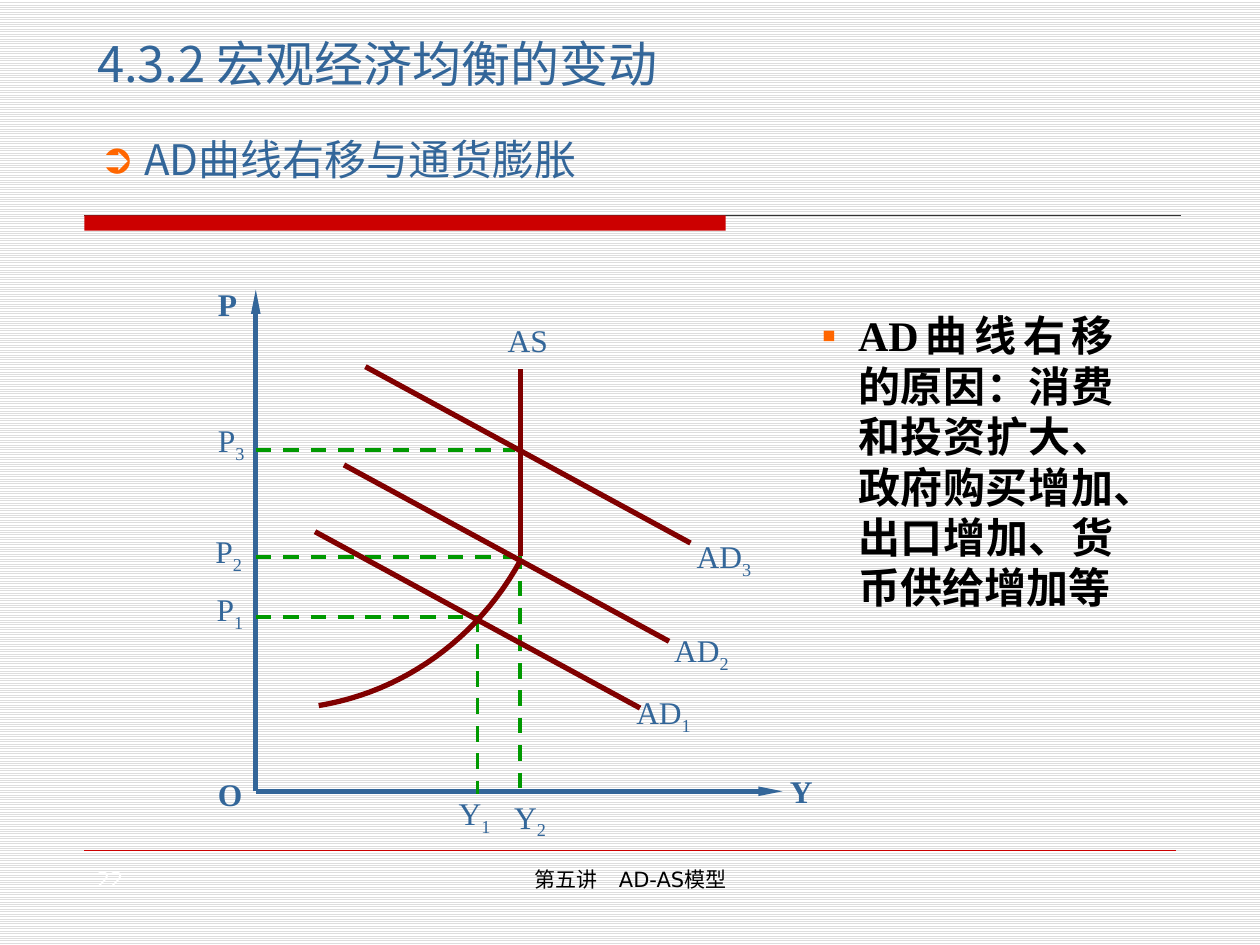
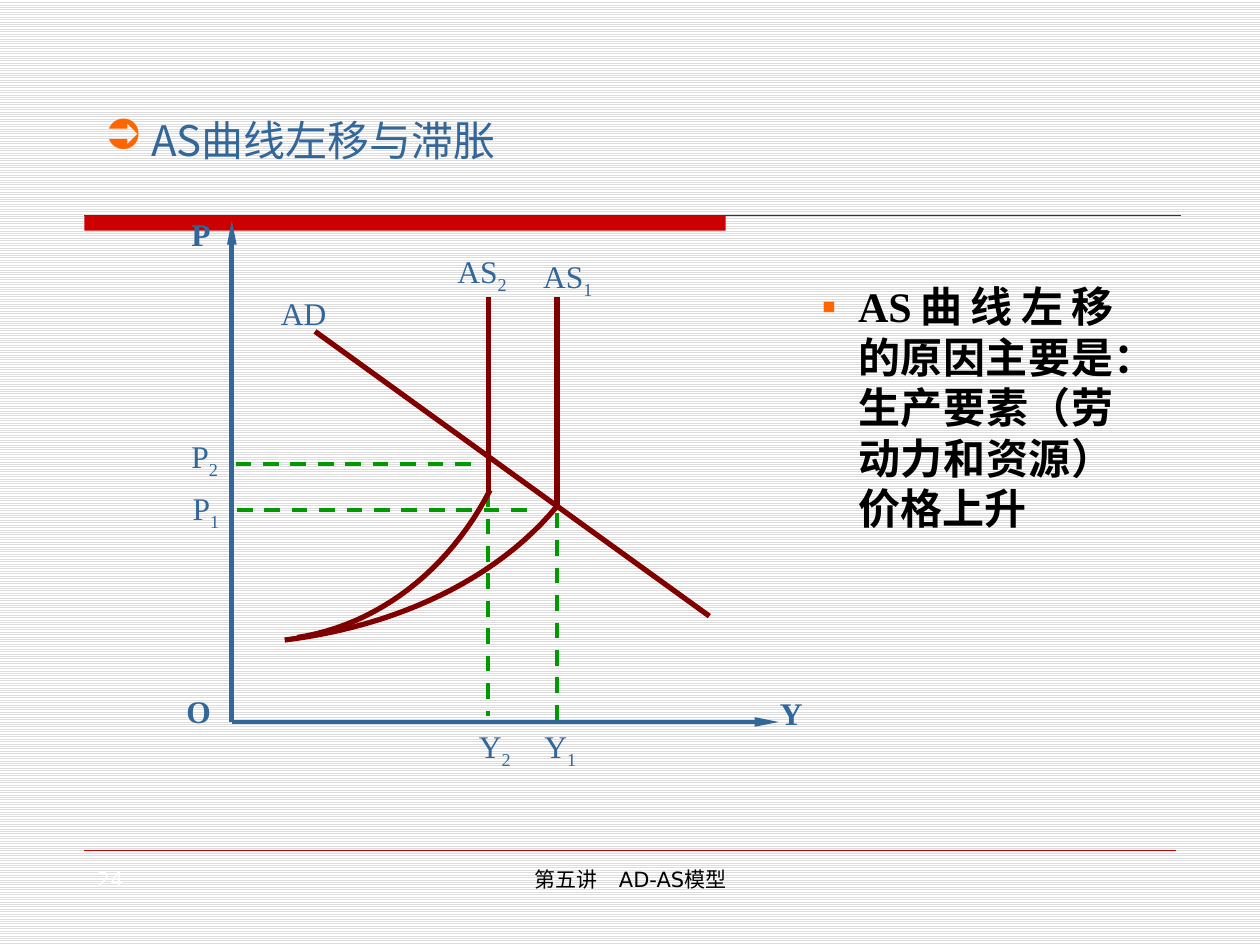
from lxml.etree import SubElement
from pptx import Presentation
from pptx.dml.color import RGBColor
from pptx.enum.dml import MSO_LINE, MSO_PATTERN
from pptx.enum.shapes import MSO_CONNECTOR, MSO_SHAPE
from pptx.enum.text import MSO_ANCHOR, MSO_AUTO_SIZE, PP_ALIGN
from pptx.oxml import parse_xml
from pptx.oxml.ns import nsdecls, qn
from pptx.util import Inches, Pt

BLUE, ORANGE, RED, MAROON, GREEN = "336699", "FF6600", "CC0000", "800000", "009900"
BLACK, WHITE, DARK, GRAY = "000000", "FFFFFF", "333333", "DDDDDD"
SANS, SERIF, FOOT = "Noto Sans CJK SC", "Times New Roman", "DejaVu Sans"
COLS, ROWS = 100, 75


def color(code):
    """Turn a hex string into a colour."""
    return RGBColor.from_string(code)


def cell(count):
    """Turn grid columns or rows into a length; ten make an inch."""
    return Inches(count / 10)


def place(shape, left, top, width, height):
    """Move a shape to a place on the grid."""
    shape.left, shape.top = cell(left), cell(top)
    shape.width, shape.height = cell(width), cell(height)


def style(para, face, size, tint, bold=False):
    """Format every run of a paragraph."""
    for run in para.runs:
        font = run.font
        font.name, font.size, font.bold = face, Pt(size), bold
        font.color.rgb = color(tint)
        props = run._r.get_or_add_rPr()
        latin = props.find(qn("a:latin"))
        latin.addnext(parse_xml(f'<a:ea {nsdecls("a")} typeface="{SANS}"/>'))


def frame(shape, pad, anchor=MSO_ANCHOR.TOP):
    """Set wrapping, insets and anchor, and return the text frame."""
    text = shape.text_frame
    text.word_wrap, text.auto_size = True, MSO_AUTO_SIZE.NONE
    text.vertical_anchor = anchor
    text.margin_left = text.margin_right = Inches(pad[0])
    text.margin_top = text.margin_bottom = Inches(pad[1])
    return text


def bullet(para, mark, hang=0):
    """Give a paragraph an orange bullet and a hanging indent."""
    props = para._p.get_or_add_pPr()
    props.set("marL", str(cell(hang)))
    props.set("indent", str(-cell(hang)))
    tint = SubElement(props, qn("a:buClr"))
    SubElement(tint, qn("a:srgbClr"), val=ORANGE)
    SubElement(props, qn("a:buChar"), char=mark)


def head(shape, text):
    """Fill the title with shadowed text."""
    place(shape, 6.7, 2.9, 70, 4.7)
    body = frame(shape, (0.1, 0.05), MSO_ANCHOR.MIDDLE)
    body.text = text
    para = body.paragraphs[0]
    para.alignment, para.line_spacing = PP_ALIGN.LEFT, 0.9
    style(para, SANS, 28, BLUE)
    fill = para.runs[0]._r.rPr.find(qn("a:solidFill"))
    fill.addnext(parse_xml(
        f'<a:effectLst {nsdecls("a")}><a:outerShdw dist="25400" dir="2700000">'
        '<a:srgbClr val="C0C0C0"/></a:outerShdw></a:effectLst>'))


def topic(shape, text, left, top):
    """Fill the line above the band."""
    place(shape, left, top, 59.8, 4)
    body = frame(shape, (0, 0), MSO_ANCHOR.MIDDLE)
    body.text = " " + text
    para = body.paragraphs[0]
    para.alignment, para.space_before = PP_ALIGN.LEFT, Pt(0)
    bullet(para, "➲")
    style(para, SANS, 24, BLUE)


def reason(shape, text, top, height):
    """Fill the list at the right of the diagram."""
    place(shape, 64.2, top, 25.2, height)
    body = frame(shape, (0.1, 0.05))
    body.text = text
    para = body.paragraphs[0]
    para.alignment = PP_ALIGN.JUSTIFY
    para.space_before, para.line_spacing = Pt(0), Pt(28.8)
    bullet(para, "▪", 2.9)
    style(para, SERIF, 24, BLACK, True)


def note(slide, text, left, top, width, tint, align):
    """Add a small text at the foot."""
    box = slide.shapes.add_textbox(0, 0, 0, 0)
    place(box, left, top, width, 5.2)
    body = frame(box, (0.1, 0.05))
    body.text = text
    body.paragraphs[0].alignment = align
    style(body.paragraphs[0], FOOT, 12, tint)


def label(slide, text, left, top, bold=False):
    """Add a diagram label whose digits are lowered."""
    box = slide.shapes.add_textbox(0, 0, 0, 0)
    place(box, left, top, 5.6, 4.7)
    para = frame(box, (0.02, 0.01)).paragraphs[0]
    stem = text.rstrip("123")
    para.add_run().text = stem
    if stem != text:
        low = para.add_run()
        low.text = text[len(stem):]
        low.font._element.set("baseline", "-25000")
    style(para, SERIF, 18, BLUE, bold)


def line(slide, ends, tint, width, dash=False, arrow=False):
    """Draw a straight line between two grid points."""
    link = slide.shapes.add_connector(MSO_CONNECTOR.STRAIGHT, *map(cell, ends))
    link.line.color.rgb, link.line.width = color(tint), Pt(width)
    if dash:
        link.line.dash_style = MSO_LINE.DASH
    if arrow:
        SubElement(link.line._get_or_add_ln(), qn("a:tailEnd"),
                   type="triangle", w="sm", len="lg")
    SubElement(link._element.spPr, qn("a:effectLst"))


def curve(slide, knots, steps=24):
    """Draw a cubic curve from its four control points."""
    points = []
    for step in range(steps + 1):
        t = step / steps
        parts = (1 - t) ** 3, 3 * t * (1 - t) ** 2, 3 * t * t * (1 - t), t ** 3
        points.append(tuple(
            cell(sum(part * knot[axis] for part, knot in zip(parts, knots)))
            for axis in (0, 1)))
    pen = slide.shapes.build_freeform(*points[0])
    pen.add_line_segments(points[1:], close=False)
    arc = pen.convert_to_shape()
    arc.shadow.inherit = False
    arc.fill.background()
    arc.line.color.rgb, arc.line.width = color(MAROON), Pt(3)


def base(slide, number):
    """Add the band, the rules and the footer."""
    line(slide, (6.7, 17.1, 93.7, 17.1), DARK, 0.75)
    band = slide.shapes.add_shape(MSO_SHAPE.RECTANGLE, 0, 0, 0, 0)
    place(band, 6.7, 17.1, 50.9, 1.2)
    band.shadow.inherit = False
    band.fill.solid()
    band.fill.fore_color.rgb = color(RED)
    band.line.fill.background()
    line(slide, (6.7, 67.5, 93.3, 67.5), RED, 0.25)
    note(slide, number, 6.7, 68.3, 10, WHITE, PP_ALIGN.LEFT)
    note(slide, "第五讲　AD-AS模型", 34.2, 68.3, 31.7, BLACK, PP_ALIGN.CENTER)


def plot(slide, zero, tips, dashes, arcs, lines, names, labels):
    """Draw the axes, guides, curves and labels of a diagram."""
    left, foot = zero
    right, top = tips
    for end in ((left, top), (right, foot)):
        line(slide, (*zero, *end), BLUE, 2.75, arrow=True)
    for ends in dashes:
        line(slide, ends, GREEN, 2.25, dash=True)
    for knots in arcs:
        curve(slide, knots)
    for ends in lines:
        line(slide, ends, MAROON, 3)
    for text, spot in zip("POY", names):
        label(slide, text, *spot, bold=True)
    for text, spot in labels.items():
        label(slide, text, *spot)


def demand(deck):
    """Build the slide on the shift of demand."""
    slide = deck.slides.add_slide(deck.slide_layouts[3])
    title, lead, side = slide.placeholders
    base(slide, "22")
    head(title, "4.3.2 宏观经济均衡的变动")
    topic(lead, "AD曲线右移与通货膨胀", 7.9, 10.6)
    reason(side, "AD曲线右移的原因：消费和投资扩大、政府购买增加、"
                 "出口增加、货币供给增加等", 24.1, 31.5)
    levels = (40.9, 35.7), (40.9, 44.2), (37.9, 49)
    dashes = [(20.3, row, col, row) for col, row in levels]
    dashes += [(41.3, 43.9, 41.3, 62.9), (37.9, 48.9, 37.9, 63)]
    starts = (29, 29.1), (27.3, 36.9), (25, 42.2)
    shifts = [(col, row, col + 25.8, row + 14) for col, row in starts]
    plot(slide, (20.3, 62.8), (62.1, 23), dashes,
         [((25.3, 56), (32, 54.9), (37.9, 50.7), (41.3, 44.5))],
         [(41.3, 29.3, 41.3, 44.1), *shifts],
         [(17.1, 22.5), (17.1, 61.4), (62.5, 61.2)],
         {"AS": (40.1, 25.4), "P3": (17.1, 33.3), "P2": (16.9, 42.1),
          "P1": (17, 46.7), "Y1": (36.2, 62.9), "Y2": (40.6, 63.2),
          "AD3": (55.1, 42.5), "AD2": (53.3, 50), "AD1": (50.3, 54.9)})


def supply(deck):
    """Build the slide on the shift of supply."""
    slide = deck.slides.add_slide(deck.slide_layouts[1])
    title, side = slide.placeholders
    base(slide, "24")
    topic(title, "AS曲线左移与滞胀", 8.3, 9.1)
    reason(side, "AS曲线左移的原因主要是：生产要素（劳动力和资源）价格上升",
           21.8, 20.9)
    plot(slide, (18.4, 57.3), (61.8, 17.5),
         [(18.7, 36.8, 37.4, 36.8), (18.8, 40.5, 42.3, 40.5),
          (38.7, 36.8, 38.7, 56.8), (44.2, 40.7, 44.2, 57.2)],
         [((23.6, 50.6), (30, 49.6), (35.6, 45.3), (38.9, 38.9)),
          ((22.6, 50.8), (31.5, 49.7), (39.4, 46), (44.2, 40.2))],
         [(38.8, 23.6, 38.8, 39), (44.2, 23.6, 44.2, 40.2),
          (25, 26.3, 56.3, 48.9)],
         [(15, 17), (14.6, 54.8), (61.7, 55)],
         {"AD": (22.1, 23.2), "AS2": (36.1, 19.9), "AS1": (42.9, 20.3),
          "P2": (15, 34.6), "P1": (15.1, 38.7),
          "Y2": (37.8, 57.6), "Y1": (43, 57.6)})


def main():
    """Build and save the deck."""
    deck = Presentation()
    deck.slide_width, deck.slide_height = cell(COLS), cell(ROWS)
    fill = deck.slide_master.background.fill
    fill.patterned()
    fill.pattern = MSO_PATTERN.LIGHT_HORIZONTAL
    fill.fore_color.rgb, fill.back_color.rgb = color(GRAY), color(WHITE)
    demand(deck)
    supply(deck)
    deck.save("out.pptx")


if __name__ == "__main__":
    main()
